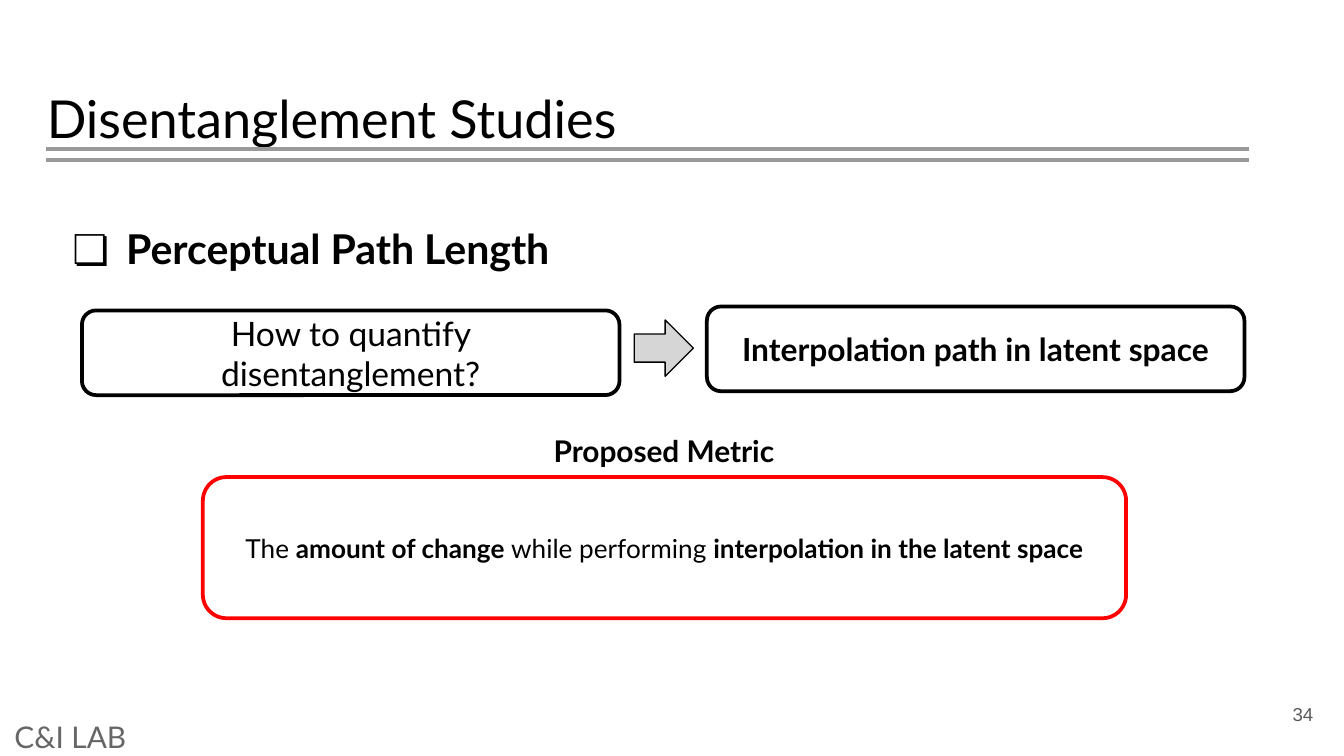
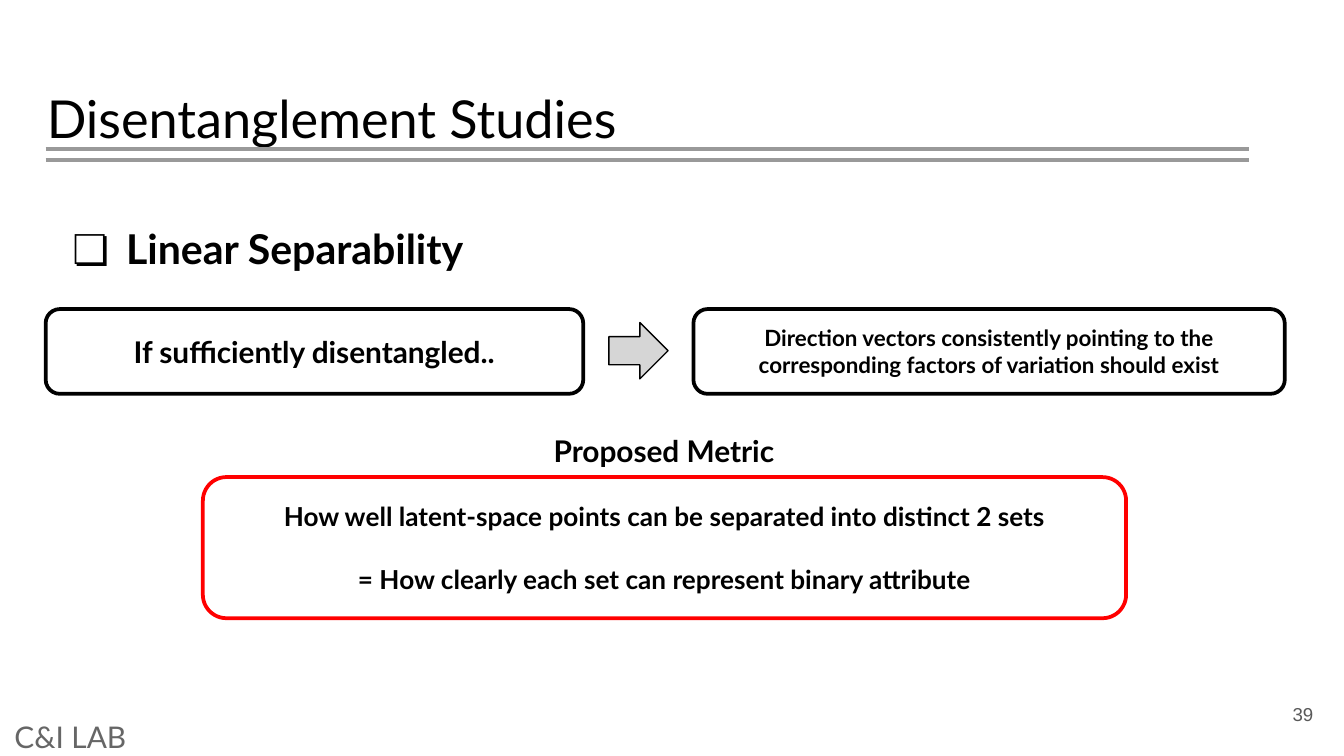
from lxml import etree
from pptx import Presentation
from pptx.dml.color import RGBColor
from pptx.enum import shapes, text
from pptx.oxml import ns
from pptx.util import Pt

# Content: a line of text is a list of (words, bold) spans
TITLE = "Disentanglement Studies"
FOOTER = "C&I LAB"
METRIC_LABEL = "Proposed Metric"
SLIDES = [
    {
        "number": "34",
        "topic": "Perceptual Path Length",
        "question": {"at": (43.9, 166.3, 288, 45.4), "size": 18,
                     "line": [("How to quantify disentanglement?", False)]},
        "arrow": (339.8, 171.4),
        "answer": {"at": (378.7, 164.2, 288, 45.4), "size": 17,
                   "line": [("Interpolation path in latent space", True)]},
        "metric": [[("The ", False), ("amount of change ", True),
                    ("while performing ", False),
                    ("interpolation in the latent space", True)]],
    },
    {
        "number": "39",
        "topic": "Linear Separability",
        "question": {"at": (24.5, 165.6, 288, 45.4), "size": 16,
                     "line": [("If sufficiently disentangled..", True)]},
        "arrow": (326.2, 172.8),
        "answer": {"at": (371.5, 165.6, 316.8, 45.4), "size": 12,
                   "line": [("Direction vectors consistently pointing to the "
                             "corresponding factors of variation should exist", True)]},
        "metric": [
            [("How well latent-space points can be separated into distinct 2 sets", True)],
            [("= How clearly each set can represent binary attribute", True)],
        ],
    },
]

# Shared style
COLORS = {"text": "000000", "rule": "999999", "number": "595959", "footer": "666666",
          "box": "FFFFFF", "arrow": "D6D6D6", "metric": "FF0000"}
FONT, NUMBER_FONT = "Lato", "Arial"
RULE_LEFT, RULE_RIGHT, RULE_TOPS = 24.5, 668.9, (79.9, 85.7)
ARROW_SIZE = (31.7, 30.2)
METRIC_AT = (108.7, 255.6, 494.6, 75.6)
ALIGN, ANCHOR = text.PP_ALIGN, text.MSO_ANCHOR


def color(name):
    return RGBColor.from_string(COLORS[name])


def points(values):
    return [Pt(value) for value in values]


def write(frame, lines, size, font=FONT, ink="text", align=ALIGN.LEFT,
          anchor=ANCHOR.TOP, inset=(7.2, 7.2), gap=0):
    frame.word_wrap = True
    frame.vertical_anchor = anchor
    frame.margin_left = frame.margin_right = Pt(inset[0])
    frame.margin_top = frame.margin_bottom = Pt(inset[1])
    for index, line in enumerate(lines):
        para = frame.add_paragraph() if index else frame.paragraphs[0]
        para.alignment = align
        if index:
            para.space_before = Pt(gap)
        para.font.name, para.font.size = font, Pt(size)
        para.font.color.rgb = color(ink)
        same = len({bold for _, bold in line}) == 1
        if same:
            para.font.bold = line[0][1]
        for words, bold in line:
            span = para.add_run()
            span.text = words
            if not same:
                span.font.bold = bold


def add_text(page, at, words, size, bold=False, **style):
    box = page.shapes.add_textbox(*points(at))
    write(box.text_frame, [[(words, bold)]], size, **style)
    return box


def add_bullet(para, mark):
    props = para._p.get_or_add_pPr()
    props.set("marL", str(Pt(36)))
    props.set("indent", str(Pt(-28.8)))
    tint = etree.SubElement(props, ns.qn("a:buClr"))
    etree.SubElement(tint, ns.qn("a:srgbClr"), val=COLORS["text"])
    etree.SubElement(props, ns.qn("a:buFont"), typeface=FONT)
    etree.SubElement(props, ns.qn("a:buChar"), char=mark)


def add_topic(page, words):
    box = page.shapes.add_textbox(*points((24.5, 108.7, 671, 45.4)))
    para = box.text_frame.paragraphs[0]
    para.line_spacing = 1.15
    add_bullet(para, "❏")
    write(box.text_frame, [[(words, True)]], 22)


def add_shape(page, kind, at, fill, line, width):
    shape = page.shapes.add_shape(kind, *points(at))
    shape.shadow.inherit = False
    shape.fill.solid()
    shape.fill.fore_color.rgb = color(fill)
    shape.line.color.rgb = color(line)
    shape.line.width = Pt(width)
    return shape


def add_box(page, at, lines, size, line="text", gap=0):
    box = add_shape(page, shapes.MSO_SHAPE.ROUNDED_RECTANGLE, at, "box", line, 2)
    write(box.text_frame, lines, size, align=ALIGN.CENTER, anchor=ANCHOR.MIDDLE,
          inset=(7.2, 3.6), gap=gap)


def add_frame(page, number):
    # Title, double rule, page number and footer
    add_text(page, (18, 38.9, 671, 45.4), TITLE, 28)
    for top in RULE_TOPS:
        rule = page.shapes.add_connector(
            shapes.MSO_CONNECTOR.STRAIGHT, *points((RULE_LEFT, top, RULE_RIGHT, top)))
        rule.line.color.rgb = color("rule")
        rule.line.width = Pt(2.25)
        etree.SubElement(rule._element.spPr, ns.qn("a:effectLst"))
    add_text(page, (667.4, 367.2, 43.2, 31), number, 10, font=NUMBER_FONT,
             ink="number", align=ALIGN.RIGHT, anchor=ANCHOR.MIDDLE)
    add_text(page, (0.7, 384.5, 720, 20.2), FOOTER, 16, ink="footer",
             anchor=ANCHOR.MIDDLE)


def add_page(deck, content):
    page = deck.slides.add_slide(deck.slide_layouts[6])
    add_topic(page, content["topic"])
    add_frame(page, content["number"])

    # Question, arrow, answer
    for part in (content["question"], content["answer"]):
        add_box(page, part["at"], [part["line"]], part["size"])
    add_shape(page, shapes.MSO_SHAPE.RIGHT_ARROW, content["arrow"] + ARROW_SIZE,
              "arrow", "text", 0.75)

    # Proposed metric
    add_box(page, METRIC_AT, content["metric"], 14, line="metric", gap=17)
    label = add_text(page, (288, 228.2, 135.4, 26.6), METRIC_LABEL, 16, bold=True,
                     align=ALIGN.CENTER, inset=(7.2, 3.6))
    label.text_frame.auto_size = text.MSO_AUTO_SIZE.SHAPE_TO_FIT_TEXT


def main():
    deck = Presentation()
    deck.slide_width, deck.slide_height = Pt(720), Pt(405)
    for content in SLIDES:
        add_page(deck, content)
    deck.save("out.pptx")


if __name__ == "__main__":
    main()
